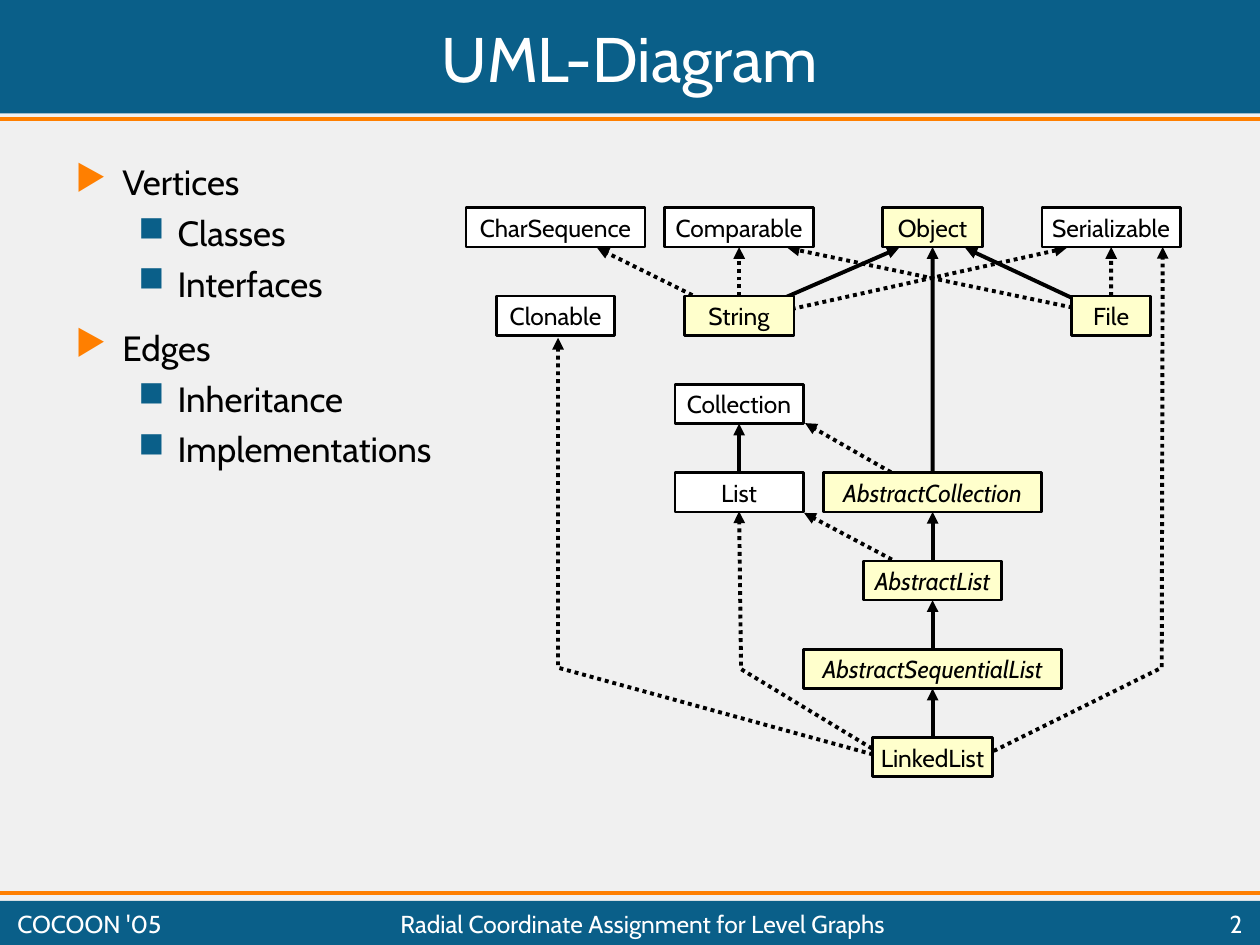
"""Builds the slide explaining a UML class diagram as a graph."""
from lxml import etree
from pptx import Presentation
from pptx import util as u
from pptx.dml.color import RGBColor
from pptx.enum import dml, shapes, text
from pptx.oxml import ns

BLUE, ORANGE, BLACK, WHITE = "0A5F89", "FF7F00", "000000", "FFFFFF"
INTERFACE, CLASS = WHITE, "FFFFCC"
LEFT, CENTER, RIGHT = text.PP_ALIGN.LEFT, text.PP_ALIGN.CENTER, text.PP_ALIGN.RIGHT
WIDTH, HEIGHT = 25.4, 19.05
FIRST_ROW, ROW_STEP, BOX_HEIGHT = 4.19, 1.78, 0.79
COLUMNS = (11.2, 14.9, 18.8, 22.4)

# name: column, row, width, fill, abstract
TYPES = {
    "CharSequence": (0, 0, 3.61, INTERFACE, False),
    "Comparable": (1, 0, 3.0, INTERFACE, False),
    "Object": (2, 0, 2.01, CLASS, False),
    "Serializable": (3, 0, 2.79, INTERFACE, False),
    "Clonable": (0, 1, 2.39, INTERFACE, False),
    "String": (1, 1, 2.21, CLASS, False),
    "File": (3, 1, 1.6, CLASS, False),
    "Collection": (1, 2, 2.59, INTERFACE, False),
    "List": (1, 3, 2.59, INTERFACE, False),
    "AbstractCollection": (2, 3, 4.39, CLASS, True),
    "AbstractList": (2, 4, 2.79, CLASS, True),
    "AbstractSequentialList": (2, 5, 5.21, CLASS, True),
    "LinkedList": (2, 6, 2.41, CLASS, False),
}
VERTICAL_EDGES = [
    ("List", "Collection", False),
    ("LinkedList", "AbstractSequentialList", False),
    ("AbstractSequentialList", "AbstractList", False),
    ("AbstractList", "AbstractCollection", False),
    ("AbstractCollection", "Object", False),
    ("String", "Comparable", True),
    ("File", "Serializable", True),
]
SLANTED_EDGES = [
    ((14.1, 6.02), (12.04, 5), True),
    ((14.9, 6.4), (18.12, 5), False),
    ((15.19, 6.4), (21.5, 5), True),
    ((21.64, 6.02), (19.46, 5), False),
    ((21.62, 6.2), (15.88, 5), True),
    ((17.98, 11.28), (16.21, 10.34), True),
    ((17.96, 9.52), (16.23, 8.53), True),
]
BENT_EDGES = [
    [(17.58, 15.09), (14.94, 13.49), (14.9, 10.31)],
    [(17.6, 15.21), (11.25, 13.46), (11.25, 6.81)],
    [(19.89, 15.21), (23.42, 13.46), (23.44, 4.98)],
]
OUTLINE = {
    "Vertices": ("Classes", "Interfaces"),
    "Edges": ("Inheritance", "Implementations"),
}


def color(hex_code):
    return RGBColor.from_string(hex_code)


class Painter:
    def __init__(self, slide, font="Cabin"):
        self.slide, self.font = slide, font
        self.shapes = slide.shapes

    def background(self, fill):
        self.slide.background.fill.solid()
        self.slide.background.fill.fore_color.rgb = color(fill)

    def run(self, paragraph, words, size, ink=BLACK, italic=False):
        run = paragraph.add_run()
        run.text = words
        run.font.name, run.font.size = self.font, u.Pt(size)
        run.font.color.rgb = color(ink)
        if italic:
            run.font.italic = True

    def rect(self, x, y, w, h, fill, border=None):
        rect = self.shapes.add_shape(
            shapes.MSO_SHAPE.RECTANGLE, u.Cm(x), u.Cm(y), u.Cm(w), u.Cm(h))
        rect.shadow.inherit = False
        rect.fill.solid()
        rect.fill.fore_color.rgb = color(fill)
        if border:
            rect.line.color.rgb, rect.line.width = color(border), u.Pt(1.5)
        else:
            rect.line.fill.background()
        return rect

    def type_box(self, name, column, row, width, fill, abstract):
        box = self.rect(COLUMNS[column] - width / 2, FIRST_ROW + row * ROW_STEP,
                        width, BOX_HEIGHT, fill, BLACK)
        box.text_frame.word_wrap = False
        box.text_frame.vertical_anchor = text.MSO_ANCHOR.MIDDLE
        label = box.text_frame.paragraphs[0]
        label.alignment = CENTER
        self.run(label, name, 14, italic=abstract)
        return box

    def frame(self, x, y, w, h, anchor):
        frame = self.shapes.add_textbox(u.Cm(x), u.Cm(y), u.Cm(w), u.Cm(h)).text_frame
        frame.word_wrap, frame.vertical_anchor = True, anchor
        return frame

    def label(self, words, x, y, w, h, size, align):
        paragraph = self.frame(x, y, w, h, text.MSO_ANCHOR.MIDDLE).paragraphs[0]
        paragraph.alignment = align
        self.run(paragraph, words, size, WHITE)

    def bullet(self, paragraph, words, level):
        indent, hang, space, mark, mark_ink = (
            (0.95, 0.95, 12.5, "▶", ORANGE), (2.06, 0.79, 5, "■", BLUE))[level]
        paragraph.level, paragraph.space_before = level, u.Pt(space)
        props = paragraph._p.get_or_add_pPr()
        props.set("marL", str(u.Cm(indent)))
        props.set("indent", str(-u.Cm(hang)))
        ink = etree.SubElement(props, ns.qn("a:buClr"))
        etree.SubElement(ink, ns.qn("a:srgbClr"), val=mark_ink)
        etree.SubElement(props, ns.qn("a:buChar"), char=mark)
        self.run(paragraph, words, 20)

    def outline(self, topics, x, y, w, h):
        frame = self.frame(x, y, w, h, text.MSO_ANCHOR.TOP)
        entries = [(words, level) for topic, parts in topics.items()
                   for words, level in [(topic, 0), *((part, 1) for part in parts)]]
        for index, (words, level) in enumerate(entries):
            paragraph = frame.add_paragraph() if index else frame.paragraphs[0]
            self.bullet(paragraph, words, level)

    def stroke(self, edge, ink=BLACK, dotted=False, arrow=True):
        edge.line.color.rgb, edge.line.width = color(ink), u.Pt(2.25)
        if dotted:
            edge.line.dash_style = dml.MSO_LINE.ROUND_DOT
        if arrow:
            line = edge._element.spPr.get_or_add_ln()
            etree.SubElement(line, ns.qn("a:tailEnd"), type="triangle")

    def line(self, start, end, **style):
        line = self.shapes.add_connector(
            shapes.MSO_CONNECTOR.STRAIGHT, *map(u.Cm, (*start, *end)))
        self.stroke(line, **style)
        etree.SubElement(line._element.spPr, ns.qn("a:effectLst"))
        return line

    def vertical_edge(self, child, parent, dotted):
        edge = self.line((0, 0), (0, 0), dotted=dotted)
        edge.begin_connect(child, 0)
        edge.end_connect(parent, 2)

    def bent_edge(self, points):
        start, *rest = [(u.Cm(x), u.Cm(y)) for x, y in points]
        builder = self.shapes.build_freeform(*start)
        builder.add_line_segments(rest, close=False)
        edge = builder.convert_to_shape()
        edge.fill.background()
        edge.shadow.inherit = False
        self.stroke(edge, dotted=True)


def main():
    deck = Presentation()
    deck.slide_width, deck.slide_height = u.Cm(WIDTH), u.Cm(HEIGHT)
    painter = Painter(deck.slides.add_slide(deck.slide_layouts[6]))
    painter.background("F0F0F0")
    for top, height, rule in ((0, 2.29, 2.39), (18.16, 0.89, 18.01)):
        painter.rect(0, top, WIDTH, height, BLUE)
        painter.line((0, rule), (WIDTH, rule), ink=ORANGE, arrow=False)
    painter.label("UML-Diagram", 0.1, 0.1, 25.2, 2.11, 36, CENTER)
    painter.outline(OUTLINE, 1.27, 3.12, 8, 14.4)

    for points in BENT_EDGES:
        painter.bent_edge(points)
    for start, end, dotted in SLANTED_EDGES:
        painter.line(start, end, dotted=dotted)
    boxes = {name: painter.type_box(name, *layout) for name, layout in TYPES.items()}
    for child, parent, dotted in VERTICAL_EDGES:
        painter.vertical_edge(boxes[child], boxes[parent], dotted)

    for words, x, width, align in (
            ("COCOON '05", 0.1, 3.66, LEFT),
            ("Radial Coordinate Assignment for Level Graphs", 3.81, 18.29, CENTER),
            ("2", 22.3, 3, RIGHT)):
        painter.label(words, x, 18.26, width, 0.71, 14, align)
    deck.save("out.pptx")


if __name__ == "__main__":
    main()
